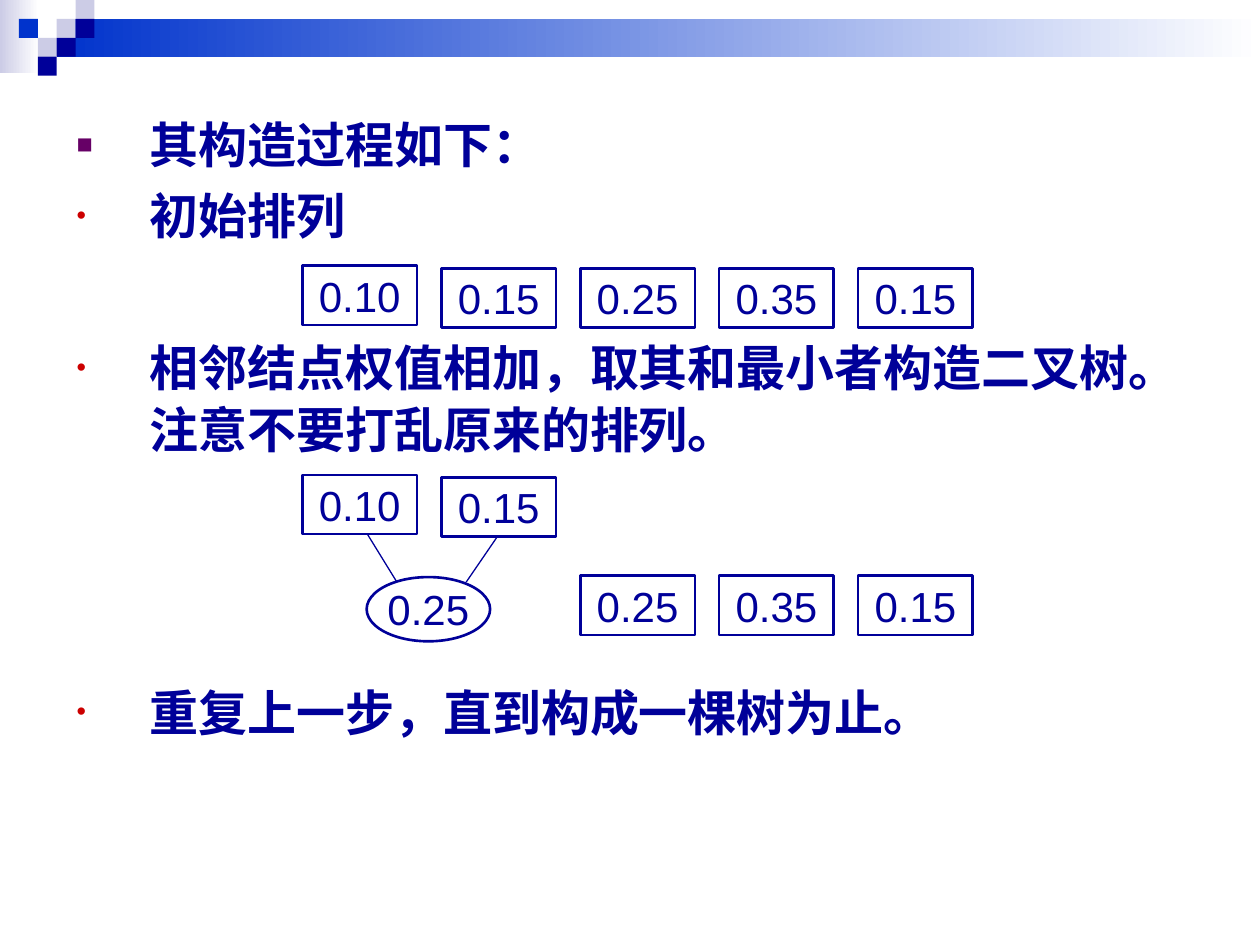
from lxml.etree import SubElement as Sub
from pptx import Presentation
from pptx.dml.color import RGBColor as RGB
from pptx.enum.shapes import MSO_CONNECTOR as LINK, MSO_SHAPE as KIND
from pptx.enum.text import MSO_ANCHOR as ANCHOR, PP_ALIGN as ALIGN
from pptx.oxml.ns import qn
from pptx.util import Inches, Pt

HUE = {"navy": "000099", "blue": "0033CC", "pale": "CCCCE6",
       "white": "FFFFFF", "plum": "660066", "red": "CC0000"}
CELL = Inches(10) / 200  # the slide is a grid of 200 columns by 150 rows

BODY = {"name": "Arial", "size": Pt(28), "bold": True}
LABEL = {"name": "Arial", "size": Pt(24), "bold": False}

# Wording, bullet, bullet colour, space before in points
LINES = [
    ("其构造过程如下：", "■", "plum", 0),
    ("初始排列", "•", "red", 5.2),
    ("相邻结点权值相加，取其和最小者构造二叉树。注意不要打乱原来的排列。", "•", "red", 51.5),
    ("重复上一步，直到构成一棵树为止。", "•", "red", 126.3),
]


def grid(*nums):
    return [round(n * CELL) for n in nums]


def tint(name):
    return RGB.from_string(HUE[name])


def style(font, look):
    for key, val in look.items():
        setattr(font, key, val)
    font.color.rgb = tint("navy")


def block(slide, box, fill, kind=KIND.RECTANGLE):
    shape = slide.shapes.add_shape(kind, *grid(*box))
    shape.shadow.inherit = False
    shape.line.fill.background()
    shape.fill.solid()
    shape.fill.fore_color.rgb = tint(fill)
    return shape


def fade(slide, box, start):
    fill = block(slide, box, start).fill
    fill.gradient()
    fill.gradient_angle = 0
    for stop, name in zip(fill.gradient_stops, (start, "white")):
        stop.color.rgb = tint(name)


def header(slide, box):
    x, y, wide, high = box
    side = high / 4
    fade(slide, (x, y, 6.2, 11.6), "pale")
    fade(slide, (x + 3 * side, y + side, wide - 3 * side, 2 * side), "blue")
    # Mosaic of squares: column, row, colour
    for col, row, name in [(3, 1, "pale"), (4, 0, "pale"), (4, 1, "navy"),
                           (2, 2, "pale"), (1, 1, "blue"), (3, 2, "navy"),
                           (2, 3, "navy")]:
        block(slide, (x + col * side, y + row * side, side, side), name)


def bullet(para, mark, name):
    props = para._p.get_or_add_pPr()
    hang = Inches(0.58)
    props.set("marL", str(hang))
    props.set("indent", str(-hang))
    Sub(Sub(props, qn("a:buClr")), qn("a:srgbClr"), val=HUE[name])
    Sub(props, qn("a:buSzPct"), val="55000")
    Sub(props, qn("a:buFont"), typeface="Arial")
    Sub(props, qn("a:buChar"), char=mark)


def prose(slide, box):
    frame = slide.shapes.add_textbox(*grid(*box)).text_frame
    frame.word_wrap = True
    for num, (words, mark, name, gap) in enumerate(LINES):
        para = frame.add_paragraph() if num else frame.paragraphs[0]
        bullet(para, mark, name)
        para.line_spacing = 1.05
        if gap:
            para.space_before = Pt(gap)
        run = para.add_run()
        run.text = words
        style(run.font, BODY)


def node(slide, box, words, kind=KIND.RECTANGLE):
    shape = block(slide, box, "white", kind)
    shape.line.color.rgb = tint("navy")
    shape.line.width = Pt(1.5)
    frame = shape.text_frame
    frame.word_wrap = False
    frame.vertical_anchor = ANCHOR.MIDDLE
    para = frame.paragraphs[0]
    para.alignment = ALIGN.CENTER
    run = para.add_run()
    run.text = words
    style(run.font, LABEL)


def series(slide, box, values, first=0):
    x, y, wide, high = box
    step = (wide - 18.2) / 4
    for col, words in enumerate(values, first):
        lift = 0 if col else 0.4  # the first node sits slightly higher
        node(slide, (x + col * step, y - lift, 18.2, high), words)


def link(slide, *ends):
    line = slide.shapes.add_connector(LINK.STRAIGHT, *grid(*ends))
    line.line.color.rgb = tint("navy")
    line.line.width = Pt(0.75)
    Sub(line._element.spPr, qn("a:effectLst"))


def merge(slide, box):
    x, y, wide, high = box
    # Nodes left in place
    series(slide, (x, y + 15.6, wide, 9.4), ["0.25", "0.35", "0.15"], first=2)
    # Joined pair and their sum
    link(slide, x + 10.2, y + 8.8, x + 15, y + 16.6)
    series(slide, (x, y, wide, 9.4), ["0.10", "0.15"])
    node(slide, (x + 10.2, y + high - 10.2, 19.6, 10.2), "0.25", KIND.OVAL)
    link(slide, x + 30.8, y + 9.6, x + 26, y + 16.6)


def main():
    deck = Presentation()
    deck.slide_width, deck.slide_height = grid(200, 150)
    slide = deck.slides.add_slide(deck.slide_layouts[6])
    header(slide, (0, 0, 200, 12))
    prose(slide, (10.2, 16.8, 180, 117.4))
    series(slide, (48, 42.6, 106.4, 9.4), ["0.10", "0.15", "0.25", "0.35", "0.15"])
    merge(slide, (48, 75.8, 106.4, 26))
    deck.save("out.pptx")


if __name__ == "__main__":
    main()
